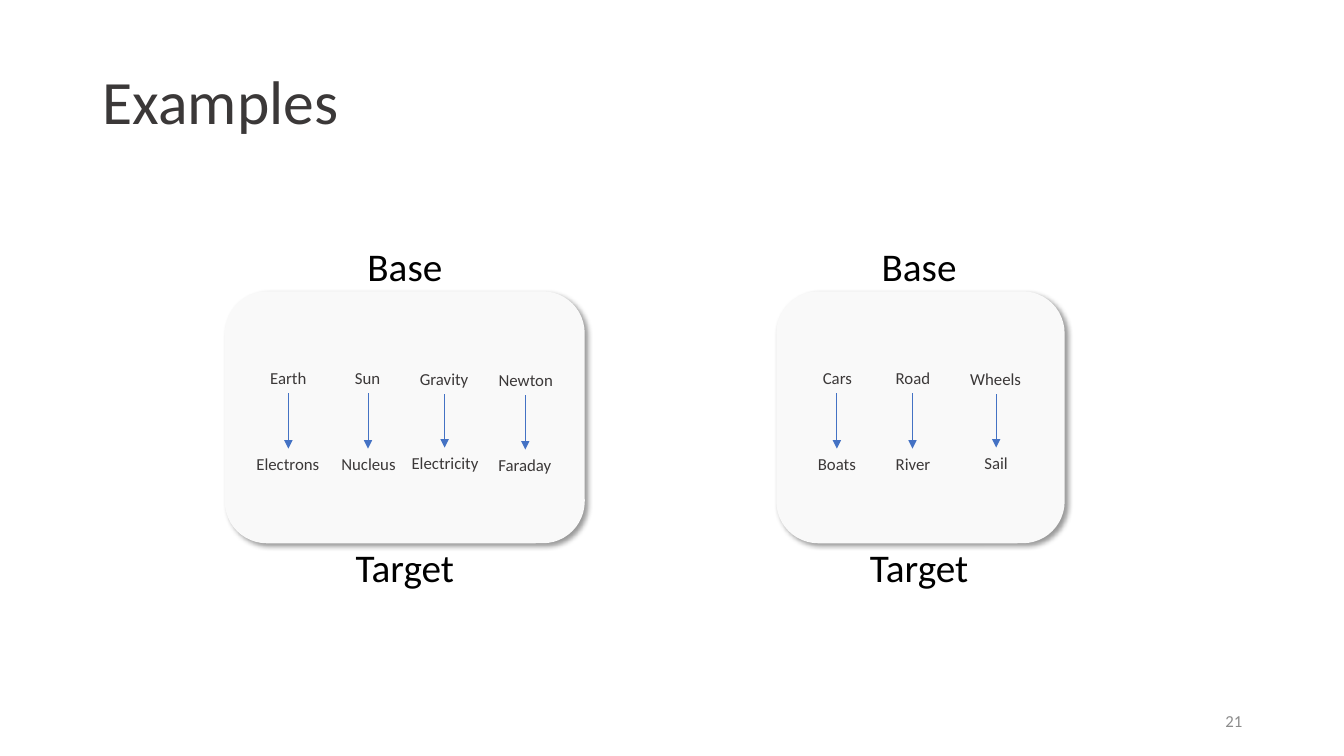
from pptx import Presentation
from pptx.dml.color import RGBColor
from pptx.enum.shapes import MSO_CONNECTOR, MSO_SHAPE
from pptx.enum.text import MSO_ANCHOR, PP_ALIGN
from pptx.oxml import parse_xml
from pptx.oxml.ns import nsdecls
from pptx.util import Pt

ROUND = MSO_SHAPE.ROUNDED_RECTANGLE
LINE = MSO_CONNECTOR.STRAIGHT
LEFT, MID, RIGHT = PP_ALIGN.LEFT, PP_ALIGN.CENTER, PP_ALIGN.RIGHT
TOP, CENTER = MSO_ANCHOR.TOP, MSO_ANCHOR.MIDDLE
PX = 9144  # 100 px to the inch
FONT = "Calibri"
COLORS = {"card": "F9F9F9", "dark": "3B3838", "black": "000000",
          "gray": "8C8C8C", "blue": "4472C4"}

# Card left and width, heading centre, then the word pairs:
# centre, top and low edge, base word and width, target word and width
GROUPS = [
    (223, 357, 402, [
        (286, 360, 445, "Earth", 56, "Electrons", 83),
        (365, 360, 445, "Sun", 45, "Nucleus", 75),
        (441, 361, 444, "Gravity", 69, "Electricity", 87),
        (521, 362, 446, "Newton", 75, "Faraday", 73)]),
    (770, 286, 912, [
        (830, 360, 445, "Cars", 49, "Boats", 58),
        (905, 360, 445, "Road", 55, "River", 55),
        (988, 361, 444, "Wheels", 71, "Sail", 44)]),
]


def tint(name):
    return RGBColor.from_string(COLORS[name])


class Board:
    def __init__(self, slide):
        self.shapes = slide.shapes

    def text(self, box, words, size, color, align=LEFT, anchor=TOP, wrap=True):
        frame = self.shapes.add_textbox(*(n * PX for n in box)).text_frame
        frame.text = words
        frame.word_wrap = wrap
        frame.vertical_anchor = anchor
        para = frame.paragraphs[0]
        para.alignment = align
        font = para.runs[0].font
        font.name, font.size = FONT, Pt(size)
        font.color.rgb = tint(color)
        return para

    def label(self, mid, top, words, width, size=12, color="dark", high=30):
        """Put one unwrapped line of text centred on mid."""
        box = (round(mid - width / 2), top, width, high)
        self.text(box, words, size, color, MID, wrap=False)

    def card(self, *box):
        """Draw a rounded panel with a soft shadow."""
        shape = self.shapes.add_shape(ROUND, *(n * PX for n in box))
        shape.shadow.inherit = False
        shape.fill.solid()
        shape.fill.fore_color.rgb = tint("card")
        shape.line.fill.background()
        shade = parse_xml(
            f'<a:outerShdw {nsdecls("a")} blurRad="{Pt(4)}" dist="{Pt(3)}" '
            'dir="2700000" algn="tl" rotWithShape="0"><a:srgbClr val="000000">'
            '<a:alpha val="40000"/></a:srgbClr></a:outerShdw>')
        shape._element.spPr.find("./{*}effectLst").append(shade)

    def arrow(self, x, top, low):
        link = self.shapes.add_connector(LINE, x * PX, top * PX, x * PX, low * PX)
        link.line.color.rgb = tint("blue")
        link.line.width = Pt(0.5)
        link.line._get_or_add_ln().append(
            parse_xml(f'<a:tailEnd {nsdecls("a")} type="triangle"/>'))
        link._element.spPr.append(parse_xml(f'<a:effectLst {nsdecls("a")}/>'))


def main():
    deck = Presentation()
    deck.slide_width, deck.slide_height = 1333 * PX, 750 * PX
    board = Board(deck.slides.add_slide(deck.slide_layouts[6]))

    title = board.text((92, 31, 1150, 145), "Examples", 44, "dark", anchor=CENTER)
    title.line_spacing = 0.9
    board.text((942, 695, 300, 40), "21", 12, "gray", RIGHT, CENTER)

    for left, width, head, pairs in GROUPS:
        board.card(left, 289, width, 250)
        board.label(head, 235, "Base", 95, 28, "black", 57)
        board.label(head, 534, "Target", 119, 28, "black", 57)
        for mid, top, low, base, wide, target, span in pairs:
            board.label(mid, top, base, wide)
            board.label(mid, low, target, span)
            board.arrow(mid, top + 30, low)

    deck.save("out.pptx")


if __name__ == "__main__":
    main()
